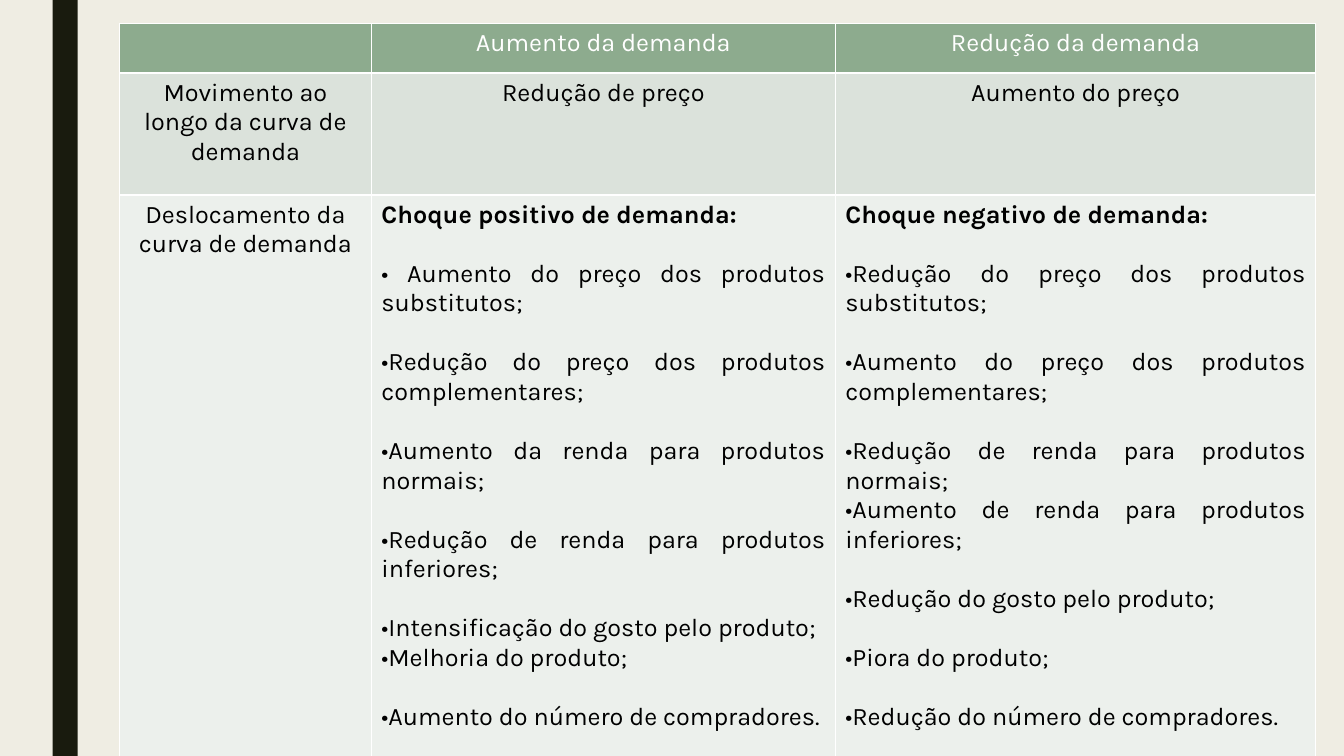
"""Build a slide with a table on rises and falls in demand."""
from dataclasses import dataclass

from lxml import etree
from pptx import Presentation
from pptx.dml.color import RGBColor
from pptx.enum import shapes, text
from pptx.oxml import ns
from pptx.util import Pt

ALIGN = text.PP_ALIGN


@dataclass(frozen=True)
class Theme:
    page: str = "EFEDE3"
    bar: str = "191B0E"
    head: str = "8DAB8E"
    band: str = "DBE2DB"
    pale: str = "ECF0EC"
    light: str = "FFFFFF"
    dark: str = "000000"
    font: str = "Karla"
    size: float = 18
    gap: float = 21.05
    rule: float = 1


@dataclass(frozen=True)
class Line:
    words: str
    align: ALIGN = ALIGN.CENTER
    bold: bool = False
    dot: bool = False
    gap: bool = False


@dataclass(frozen=True)
class Row:
    height: float
    fill: str
    ink: str
    cells: list[list[Line]]


THEME = Theme()
WIDTHS = (180, 331.4, 343.2)


def title(words: str) -> Line:
    return Line(words, ALIGN.JUSTIFY, bold=True)


def item(words: str, gap: bool = True) -> Line:
    return Line(words, ALIGN.JUSTIFY, dot=True, gap=gap)


RISE = [
    title("Choque positivo de demanda:"),
    item(" Aumento do preço dos produtos substitutos;"),
    item("Redução do preço dos produtos complementares;"),
    item("Aumento da renda para produtos normais;"),
    item("Redução de renda para produtos inferiores;"),
    item("Intensificação do gosto pelo produto;"),
    item("Melhoria do produto;", gap=False),
    item("Aumento do número de compradores."),
]
FALL = [
    title("Choque negativo de demanda:"),
    item("Redução do preço dos produtos substitutos;"),
    item("Aumento do preço dos produtos complementares;"),
    item("Redução de renda para produtos normais;"),
    item("Aumento de renda para produtos inferiores;", gap=False),
    item("Redução do gosto pelo produto;"),
    item("Piora do produto;"),
    item("Redução do número de compradores."),
]
ROWS = [
    Row(35.3, THEME.head, THEME.light,
        [[], [Line("Aumento da demanda")], [Line("Redução da demanda")]]),
    Row(87.1, THEME.band, THEME.dark,
        [[Line("Movimento ao longo da curva de demanda")],
         [Line("Redução de preço")], [Line("Aumento do preço")]]),
    Row(401, THEME.pale, THEME.dark,
        [[Line("Deslocamento da curva de demanda")], RISE, FALL]),
]


def paint(fill, tint: str) -> None:
    fill.solid()
    fill.fore_color.rgb = RGBColor.from_string(tint)


def edge(cell, side: str) -> None:
    props = cell._tc.get_or_add_tcPr()
    width = str(int(Pt(THEME.rule)))
    line = etree.SubElement(props, ns.qn(f"a:ln{side}"), w=width)
    fill = etree.SubElement(line, ns.qn("a:solidFill"))
    etree.SubElement(fill, ns.qn("a:srgbClr"), val=THEME.light)


def write(para, line: Line, ink: str) -> None:
    para.alignment = line.align
    if line.gap:
        para.space_before = Pt(THEME.gap)
    if line.dot:
        props = para._p.get_or_add_pPr()
        props.set("marL", "0")
        props.set("indent", "0")
        etree.SubElement(props, ns.qn("a:buFont"), typeface=THEME.font)
        etree.SubElement(props, ns.qn("a:buChar"), char="•")
    run = para.add_run()
    run.text = line.words
    run.font.name = THEME.font
    run.font.size = Pt(THEME.size)
    run.font.bold = line.bold
    run.font.color.rgb = RGBColor.from_string(ink)


def fill_cell(cell, row: Row, lines: list[Line]) -> None:
    for side in "LRTB":
        edge(cell, side)
    paint(cell.fill, row.fill)
    cell.margin_left = cell.margin_right = Pt(7.2)
    cell.margin_top = cell.margin_bottom = Pt(3.6)
    frame = cell.text_frame
    for spot, line in enumerate(lines):
        para = frame.add_paragraph() if spot else frame.paragraphs[0]
        write(para, line, row.ink)


def draw_bar(slide) -> None:
    bar = slide.shapes.add_shape(
        shapes.MSO_SHAPE.RECTANGLE, Pt(37.5), Pt(0), Pt(18), Pt(540))
    bar.shadow.inherit = False
    paint(bar.fill, THEME.bar)
    bar.line.fill.background()


def draw_grid(slide) -> None:
    grid = slide.shapes.add_table(
        len(ROWS), len(WIDTHS), Pt(85.3), Pt(16.9), Pt(sum(WIDTHS)),
        Pt(sum(row.height for row in ROWS))).table
    grid.first_row = grid.horz_banding = False
    for col, width in zip(grid.columns, WIDTHS):
        col.width = Pt(width)
    for band, row in zip(grid.rows, ROWS):
        band.height = Pt(row.height)
        for cell, lines in zip(band.cells, row.cells):
            fill_cell(cell, row, lines)


def main() -> None:
    deck = Presentation()
    deck.slide_width, deck.slide_height = Pt(960), Pt(540)
    slide = deck.slides.add_slide(deck.slide_layouts[6])
    paint(slide.background.fill, THEME.page)
    draw_bar(slide)
    draw_grid(slide)
    deck.save("out.pptx")


if __name__ == "__main__":
    main()
